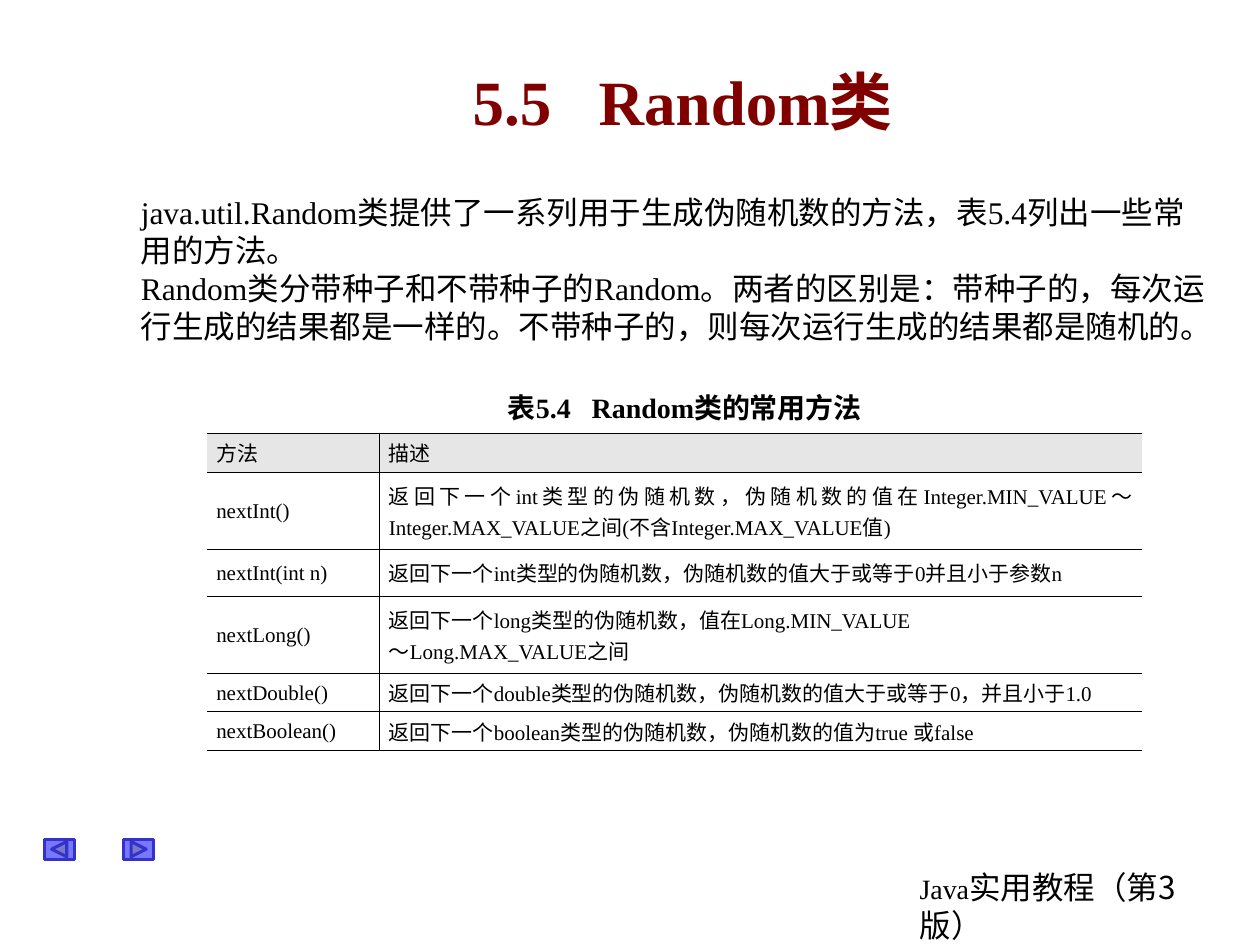
from pptx import Presentation
from pptx.dml.color import RGBColor
from pptx.enum.shapes import MSO_SHAPE
from pptx.enum.text import MSO_ANCHOR, PP_ALIGN
from pptx.oxml.ns import qn
from pptx.util import Pt
from lxml.etree import SubElement

LATIN_FONT = "Times New Roman"
CHINESE_FONT = "Noto Sans CJK SC"
COLUMN_WIDTHS = [98.64, 435.6]
ROW_HEIGHTS = [22, 44, 27, 44, 22, 22]
METHODS = [
    ("方法", "描述"),
    ("nextInt()", "返回下一个int类型的伪随机数，伪随机数的值在Integer.MIN_VALUE～"
                  "Integer.MAX_VALUE之间(不含Integer.MAX_VALUE值)"),
    ("nextInt(int n)", "返回下一个int类型的伪随机数，伪随机数的值大于或等于0并且小于参数n"),
    ("nextLong()", "返回下一个long类型的伪随机数，值在Long.MIN_VALUE\n～Long.MAX_VALUE之间"),
    ("nextDouble()", "返回下一个double类型的伪随机数，伪随机数的值大于或等于0，并且小于1.0"),
    ("nextBoolean()", "返回下一个boolean类型的伪随机数，伪随机数的值为true 或false"),
]


def color(value):
    """Turn a hex string into a colour."""
    return RGBColor.from_string(value)


def format_run(run, size, ink="000000", bold=False, latin=LATIN_FONT):
    """Set the size, colour and both fonts of a run."""
    font = run.font
    font.size, font.bold, font.name = Pt(size), bold, latin
    font.color.rgb = color(ink)
    SubElement(font._element, qn("a:ea")).set("typeface", CHINESE_FONT)


def format_frame(frame, size, spacing, align, ink="000000", bold=False):
    """Format every paragraph of a text frame alike."""
    for paragraph in frame.paragraphs:
        paragraph.alignment = align
        paragraph.line_spacing = Pt(spacing)
        for run in paragraph.runs:
            format_run(run, size, ink, bold)


def add_text(slide, box, text, size, spacing, align=PP_ALIGN.LEFT,
             anchor=MSO_ANCHOR.TOP, **style):
    """Add a wrapping text box and return its frame."""
    frame = slide.shapes.add_textbox(*map(Pt, box)).text_frame
    frame.word_wrap = True
    frame.vertical_anchor = anchor
    frame.text = text
    format_frame(frame, size, spacing, align, **style)
    return frame


def add_footer(slide):
    """Add the book title, whose Chinese part is larger."""
    frame = add_text(slide, (518.4, 492.5, 187.2, 50.4), "Java", 16, 21.6)
    run = frame.paragraphs[0].add_run()
    run.text = "实用教程（第3版）"
    format_run(run, 18, latin=CHINESE_FONT)


def add_button(slide, preset, left):
    """Add a translucent navigation button."""
    button = slide.shapes.add_shape(preset, Pt(left), Pt(479.5), Pt(17.3), Pt(11.5))
    button.shadow.inherit = False
    button.fill.solid()
    button.fill.fore_color.rgb = color("0000FF")
    fill_color = button._element.spPr.find(qn("a:solidFill"))[0]
    SubElement(fill_color, qn("a:alpha")).set("val", "53000")
    button.line.color.rgb = color("3333CC")
    button.line.width = Pt(1.75)


def set_border(cell, side, width):
    """Draw one cell border, or clear it when the width is zero."""
    line = SubElement(cell._tc.get_or_add_tcPr(), qn(f"a:ln{side}"))
    line.set("w", str(Pt(width)))
    if width:
        fill = SubElement(line, qn("a:solidFill"))
        SubElement(fill, qn("a:srgbClr")).set("val", "000000")
    else:
        SubElement(line, qn("a:noFill"))


def format_cell(cell, row, column):
    """Set the text layout, borders and fill of a cell."""
    is_header, is_method = row == 0, row > 0 and column == 0
    cell.vertical_anchor = MSO_ANCHOR.MIDDLE
    cell.margin_left = cell.margin_right = Pt(5.4)
    cell.margin_top = Pt(3.6)
    is_tall = ROW_HEIGHTS[row] > 30
    cell.margin_bottom = Pt(3.6 if is_method or is_tall else 0.6)
    spacing = 17.7 if is_tall and not is_method else 14.4
    format_frame(cell.text_frame, 12, spacing, PP_ALIGN.JUSTIFY)
    last_row = len(METHODS) - 1
    set_border(cell, "L", 0.45 if column else 0)
    set_border(cell, "R", 0 if column else 0.45)
    set_border(cell, "T", 0.75 if is_header else 0.45)
    set_border(cell, "B", 0.75 if row == last_row else 0.45)
    if is_header:
        cell.fill.solid()
        cell.fill.fore_color.rgb = color("E6E6E6")
    else:
        cell.fill.background()


def add_method_table(slide):
    """Add the table of Random methods."""
    frame = slide.shapes.add_table(len(METHODS), 2, Pt(118.2), Pt(247.7),
                                   Pt(sum(COLUMN_WIDTHS)), Pt(sum(ROW_HEIGHTS)))
    table = frame.table
    table.first_row = table.horz_banding = False
    for column, width in zip(table.columns, COLUMN_WIDTHS):
        column.width = Pt(width)
    for row, texts in enumerate(METHODS):
        table.rows[row].height = Pt(ROW_HEIGHTS[row])
        for column, text in enumerate(texts):
            cell = table.cell(row, column)
            cell.text_frame.text = text
            format_cell(cell, row, column)


def main():
    """Build the slide and save it."""
    presentation = Presentation()
    presentation.slide_width, presentation.slide_height = Pt(720), Pt(540)
    slide = presentation.slides.add_slide(presentation.slide_layouts[6])
    add_footer(slide)
    add_button(slide, MSO_SHAPE.ACTION_BUTTON_FORWARD_OR_NEXT, 70.6)
    add_button(slide, MSO_SHAPE.ACTION_BUTTON_BACK_OR_PREVIOUS, 25.2)
    add_text(slide, (84.2, 30.2, 612, 54), "5.5 \tRandom类", 36, 43.2,
             PP_ALIGN.CENTER, MSO_ANCHOR.MIDDLE, ink="800000", bold=True)
    add_text(slide, (73.4, 106.6, 624.2, 136.8),
             "java.util.Random类提供了一系列用于生成伪随机数的方法，表5.4列出一些常用的方法。\n"
             "Random类分带种子和不带种子的Random。两者的区别是：带种子的，每次运行生成的结果"
             "都是一样的。不带种子的，则每次运行生成的结果都是随机的。", 18, 21.7)
    add_method_table(slide)
    add_text(slide, (269.4, 219.6, 243.9, 26.6), "表5.4   Random类的常用方法", 16, 19.2,
             PP_ALIGN.CENTER, MSO_ANCHOR.MIDDLE, bold=True)
    presentation.save("out.pptx")


if __name__ == "__main__":
    main()
